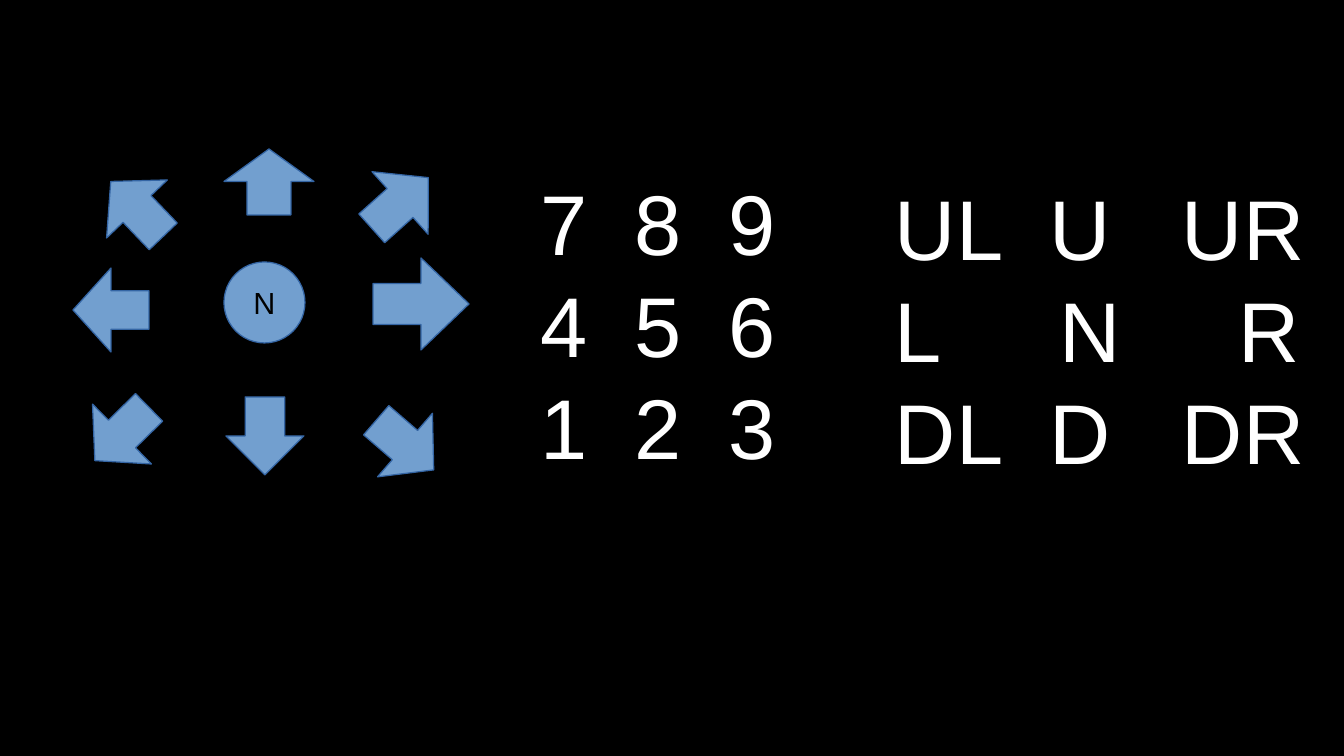
"""Build a slide that maps direction arrows to keypad digits and letters."""
import lxml.etree
import pptx
import pptx.dml.color
import pptx.enum.shapes
import pptx.enum.text
import pptx.oxml.ns
import pptx.util

EMU_PER_INCH = 914400
PX_PER_INCH = 122
SHAPES = pptx.enum.shapes.MSO_SHAPE
DIAGONAL_ANGLES = {(99, 167): 46.3, (362, 161): 138.1, (367, 403): 220.8, (84, 392): 315.5}
LEFT_ARROW_SIZE = (76, 84)
LEFT_ARROW_RATIOS = (0.461, 0.5)


def px(length):
    """Turn pixels into EMU."""
    return round(length * EMU_PER_INCH / PX_PER_INCH)


def color(code):
    """Turn a hex string into a colour."""
    return pptx.dml.color.RGBColor.from_string(code)


def add_blue_shape(page, kind, place, size, ratios=(), angle=0):
    """Add a flat blue preset shape with a hairline edge."""
    shape = page.shapes.add_shape(kind, *map(px, place + size))
    shape.shadow.inherit = False
    shape.rotation = angle
    for index, ratio in enumerate(ratios):
        shape.adjustments[index] = ratio
    shape.fill.solid()
    shape.fill.fore_color.rgb = color("729FCF")
    shape.line.color.rgb = color("3465A4")
    shape.line.width = pptx.util.Pt(0)
    return shape


def add_tabs(para, stops):
    """Set left tab stops on a paragraph."""
    name = pptx.oxml.ns.qn
    tabs = lxml.etree.SubElement(para._p.get_or_add_pPr(), name("a:tabLst"))
    for stop in stops:
        lxml.etree.SubElement(tabs, name("a:tab"), pos=str(px(stop)), algn="l")


def write(para, text, size, code):
    """Write one span of Arial text into a paragraph."""
    span = para.add_run()
    span.text = text
    span.font.name = "Arial"
    span.font.size = pptx.util.Pt(size)
    span.font.color.rgb = color(code)


def add_key_grid(page, place, size, rows):
    """Add a text box of key rows, each a list of keys with its tab stops."""
    box = page.shapes.add_textbox(*map(px, place + size))
    frame = box.text_frame
    frame.word_wrap = True
    frame.auto_size = pptx.enum.text.MSO_AUTO_SIZE.SHAPE_TO_FIT_TEXT
    for index, (keys, stops) in enumerate(rows):
        para = frame.add_paragraph() if index else frame.paragraphs[0]
        add_tabs(para, stops)
        write(para, "\t".join(keys), size=50, code="FFFFFF")


def add_neutral(page):
    """Add the round neutral marker with its letter."""
    circle = add_blue_shape(page, SHAPES.OVAL, (224, 262), (81, 81))
    frame = circle.text_frame
    frame.vertical_anchor = pptx.enum.text.MSO_ANCHOR.MIDDLE
    para = frame.paragraphs[0]
    para.alignment = pptx.enum.text.PP_ALIGN.CENTER
    write(para, "N", size=18, code="000000")


def add_arrows(page):
    """Add the four straight arrows and the four diagonal ones."""
    add_blue_shape(page, SHAPES.RIGHT_ARROW, (373, 258), (96, 92), (0.447, 0.522))
    add_blue_shape(page, SHAPES.LEFT_ARROW, (73, 268), LEFT_ARROW_SIZE, LEFT_ARROW_RATIOS)
    add_blue_shape(page, SHAPES.DOWN_ARROW, (226, 397), (78, 78), (0.505, 0.5))
    add_blue_shape(page, SHAPES.UP_ARROW, (224, 149), (90, 66), (0.488, 0.493))
    for place, angle in DIAGONAL_ANGLES.items():
        add_blue_shape(page, SHAPES.LEFT_ARROW, place, LEFT_ARROW_SIZE, LEFT_ARROW_RATIOS, angle)


def main():
    """Build and save the deck."""
    deck = pptx.Presentation()
    deck.slide_width, deck.slide_height = px(1344), px(756)
    page = deck.slides.add_slide(deck.slide_layouts[6])
    page.background.fill.solid()
    page.background.fill.fore_color.rgb = color("000000")
    add_arrows(page)
    add_neutral(page)
    digit_stops = (94, 188)
    outer_stops = (155, 287)
    add_key_grid(page, (529, 165), (290, 310),
                 [(keys, digit_stops) for keys in ("789", "456", "123")])
    add_key_grid(page, (883, 170), (456, 343), [
        (("UL", "U", "UR"), outer_stops),
        (("L", "N", "R"), (165, 344)),
        (("DL", "D", "DR"), outer_stops),
    ])
    deck.save("out.pptx")


if __name__ == "__main__":
    main()
